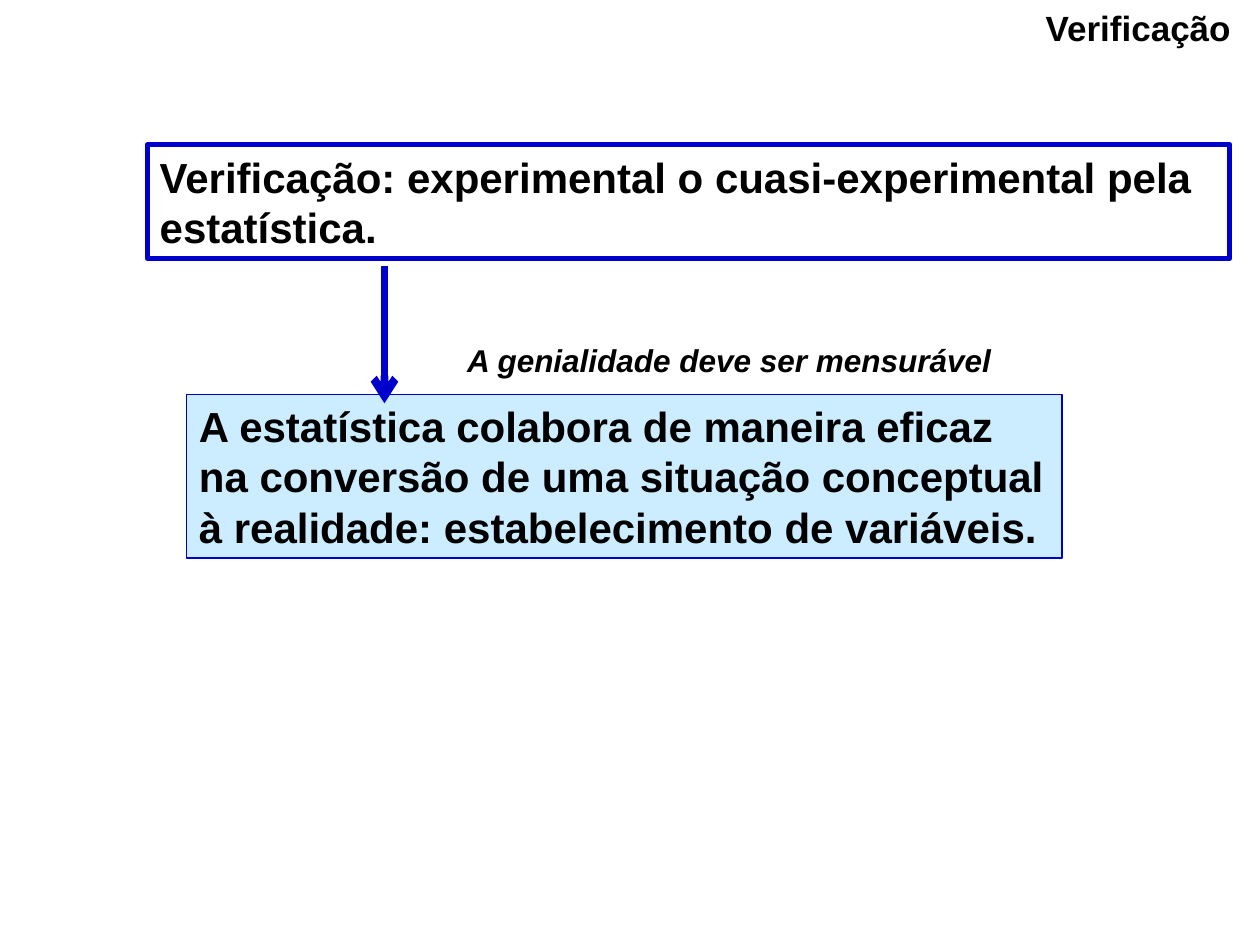
from dataclasses import dataclass
from typing import Optional

from lxml.etree import SubElement
from pptx import Presentation
from pptx.dml.color import RGBColor
from pptx.enum.shapes import MSO_CONNECTOR as Link, MSO_SHAPE as Shape
from pptx.enum.text import MSO_ANCHOR as Anchor, PP_ALIGN as Align
from pptx.oxml.ns import qn
from pptx.util import Cm, Pt

BLACK = RGBColor(0, 0, 0)
BLUE = RGBColor(0x00, 0x00, 0xCC)
SKY = RGBColor(0xCC, 0xEC, 0xFF)


@dataclass
class Area:
    left: float
    top: float
    width: float
    height: float

    def lengths(self) -> tuple:
        return Cm(self.left), Cm(self.top), Cm(self.width), Cm(self.height)


@dataclass
class Panel:
    text: str
    area: Area
    line: float
    fill: Optional[RGBColor] = None


PANELS = [
    Panel("Verificação: experimental o cuasi-experimental pela estatística.",
          Area(2.97, 2.92, 21.82, 2.29), 3),
    Panel("A estatística colabora de maneira eficaz na conversão de uma situação "
          "conceptual à realidade: estabelecimento de variáveis.",
          Area(3.76, 7.95, 17.65, 3.3), 0.75, SKY),
]


def write(shape, text: str, *, size: float, italic: bool = False, wrap: bool = True) -> None:
    frame = shape.text_frame
    frame.word_wrap = wrap
    frame.vertical_anchor = Anchor.TOP
    line = frame.paragraphs[0]
    line.alignment = Align.LEFT
    run = line.add_run()
    run.text = text
    font = run.font
    font.name = "Arial"
    font.size = Pt(size)
    font.bold = True
    font.italic = italic
    font.color.rgb = BLACK


def label(slide, area: Area, text: str, **style) -> None:
    write(slide.shapes.add_textbox(*area.lengths()), text, **style)


def draw_panel(slide, panel: Panel) -> None:
    box = slide.shapes.add_shape(Shape.RECTANGLE, *panel.area.lengths())
    box.shadow.inherit = False
    if panel.fill is None:
        box.fill.background()
    else:
        box.fill.solid()
        box.fill.fore_color.rgb = panel.fill
    box.line.color.rgb = BLUE
    box.line.width = Pt(panel.line)
    write(box, panel.text, size=24)


def draw_arrow(slide, x: float, start: float, end: float) -> None:
    arrow = slide.shapes.add_connector(Link.STRAIGHT, Cm(x), Cm(start), Cm(x), Cm(end))
    arrow.line.color.rgb = BLUE
    arrow.line.width = Pt(4.5)
    props = arrow.element.spPr
    SubElement(props.find(qn("a:ln")), qn("a:tailEnd"), type="arrow")
    SubElement(props, qn("a:effectLst"))


def main() -> None:
    deck = Presentation()
    deck.slide_width, deck.slide_height = Cm(25.4), Cm(19.05)
    slide = deck.slides.add_slide(deck.slide_layouts[6])
    label(slide, Area(20.83, 0, 4.57, 1.12), "Verificação", size=20)
    for panel in PANELS:
        draw_panel(slide, panel)
    draw_arrow(slide, 7.75, 5.36, 8.13)
    label(slide, Area(9.17, 6.76, 11.1, 1.02), "A genialidade deve ser mensurável",
          size=18, italic=True, wrap=False)
    deck.save("out.pptx")


if __name__ == "__main__":
    main()
